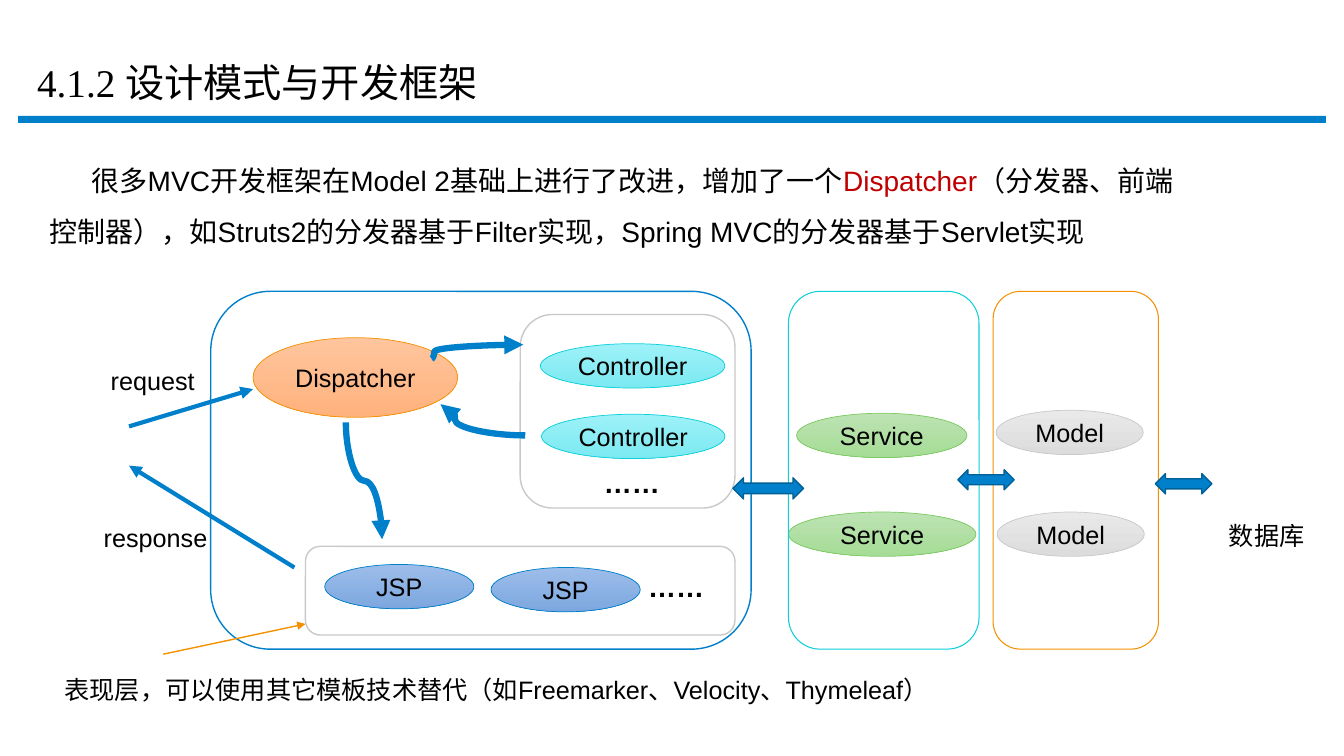
from pptx import Presentation
from pptx.dml.color import RGBColor
from pptx.enum.shapes import MSO_CONNECTOR, MSO_SHAPE
from pptx.enum.text import MSO_ANCHOR, PP_ALIGN
from pptx.oxml.ns import qn
from pptx.util import Inches, Pt
from lxml import etree

RECT = MSO_SHAPE.RECTANGLE
ROUND = MSO_SHAPE.ROUNDED_RECTANGLE
OVAL = MSO_SHAPE.OVAL
ARROW = MSO_SHAPE.LEFT_RIGHT_ARROW
LINE = MSO_CONNECTOR.STRAIGHT
CURVE = MSO_CONNECTOR.CURVE
MIDDLE = MSO_ANCHOR.MIDDLE
TOP = MSO_ANCHOR.TOP
CENTER = PP_ALIGN.CENTER

BLACK = RGBColor(0x00, 0x00, 0x00)
WHITE = RGBColor(0xFF, 0xFF, 0xFF)
RED = RGBColor(0xC0, 0x00, 0x00)
BLUE = RGBColor(0x00, 0x80, 0xCB)
NAVY = RGBColor(0x00, 0x5F, 0x96)
GRAY = RGBColor(0xC9, 0xC9, 0xC9)
CYAN = RGBColor(0x0B, 0xD0, 0xD9)
ORANGE = RGBColor(0xF4, 0x91, 0x00)
GREEN = RGBColor(0x7C, 0xCA, 0x62)

PEACH = (RGBColor(0xFF, 0xC5, 0x9E), RGBColor(0xFF, 0xB2, 0x7C), ORANGE)
AQUA = (RGBColor(0x9D, 0xF1, 0xF8), RGBColor(0x7C, 0xE9, 0xF1), CYAN)
SKY = (RGBColor(0x9D, 0xBD, 0xEA), RGBColor(0x7C, 0xA7, 0xDE), BLUE)
LEAF = (RGBColor(0xBD, 0xE3, 0xB3), RGBColor(0xA5, 0xDC, 0x96), GREEN)
SILVER = (RGBColor(0xE9, 0xE9, 0xE9), RGBColor(0xDC, 0xDC, 0xDC), GRAY)


class Board:
    font = "Arial"
    size = 18
    cell = Inches(0.1)

    def __init__(self, deck):
        self.slide = deck.slides.add_slide(deck.slide_layouts[6])
        self.shapes = self.slide.shapes

    def grid(self, *cells):
        return [round(n * self.cell) for n in cells]

    def style(self, run, size=None, color=BLACK, font=None, bold=False):
        run.font.name = font or self.font
        run.font.size = Pt(size or self.size)
        run.font.color.rgb = color
        run.font.bold = bold

    def shape(self, kind, box, fill=None, line=None, width=1):
        item = self.shapes.add_shape(kind, *self.grid(*box))
        item.shadow.inherit = False
        if fill is None:
            item.fill.background()
        else:
            item.fill.solid()
            item.fill.fore_color.rgb = fill
        if line is None:
            item.line.fill.background()
        else:
            item.line.color.rgb = line
            item.line.width = Pt(width)
        return item

    def oval(self, label, box, tone):
        light, dark, edge = tone
        item = self.shape(OVAL, box, light, edge, 0.5)
        item.fill.gradient()
        item.fill.gradient_angle = 270
        for stop, color in zip(item.fill.gradient_stops, (light, dark)):
            stop.color.rgb = color
        for stop, place in zip(item.fill.gradient_stops, (0, 1)):
            stop.position = place
        frame = item.text_frame
        frame.text = label
        frame.vertical_anchor = MIDDLE
        frame.paragraphs[0].alignment = CENTER
        self.style(frame.paragraphs[0].runs[0])

    def text(self, words, box, wrap=True, space=None, anchor=TOP, **look):
        frame = self.shapes.add_textbox(*self.grid(*box)).text_frame
        frame.text = words
        frame.word_wrap = wrap
        frame.vertical_anchor = anchor
        line = frame.paragraphs[0]
        if space:
            line.line_spacing = space
        self.style(line.runs[0], **look)

    def body(self, parts, box, size):
        frame = self.shapes.add_textbox(*self.grid(*box)).text_frame
        frame.word_wrap = True
        frame.margin_top = Inches(0.12)
        line = frame.paragraphs[0]
        line.line_spacing = 1.5
        props = line._p.get_or_add_pPr()
        props.set("marL", str(Inches(0.12)))
        props.set("indent", str(Inches(0.42)))
        for words, color in parts:
            run = line.add_run()
            run.text = words
            self.style(run, size, color)

    def link(self, start, end, width, color=BLUE, kind=LINE):
        item = self.shapes.add_connector(kind, *self.grid(*start, *end))
        item.line.color.rgb = color
        item.line.width = Pt(width)
        etree.SubElement(item.line._get_or_add_ln(), qn("a:tailEnd"), type="triangle")
        etree.SubElement(item._element.spPr, qn("a:effectLst"))
        return item

    def curve(self, start, end, bend, turn=0):
        item = self.link(start, end, 4.5, kind=CURVE)
        props = item._element.spPr
        guides = props.find(qn("a:prstGeom")).find(qn("a:avLst"))
        etree.SubElement(guides, qn("a:gd"), name="adj1", fmla=f"val {round(bend * 100000)}")
        if turn:
            props.find(qn("a:xfrm")).set("rot", str(turn * 60000))


def main():
    deck = Presentation()
    deck.slide_width, deck.slide_height = Inches(13.33), Inches(7.5)
    board = Board(deck)

    board.shape(RECT, (1.8, 11.5, 129.7, 0.7), BLUE)
    board.text("4.1.2 设计模式与开发框架", (2.7, 3.5, 76.4, 9.9), space=0.9,
               anchor=MIDDLE, size=28, font="Times New Roman")
    board.body([
        ("很多MVC开发框架在Model 2基础上进行了改进，增加了一个", BLACK),
        ("Dispatcher", RED),
        ("（分发器、前端控制器），如Struts2的分发器基于Filter实现，"
         "Spring MVC的分发器基于Servlet实现", BLACK),
    ], (2.7, 13.4, 117, 23.1), 20)

    for box, edge in [((20.9, 28.9, 53.6, 35.5), BLUE),
                      ((30.3, 54.2, 42.6, 8.8), GRAY),
                      ((51.6, 31.2, 21.3, 19.2), GRAY)]:
        board.shape(ROUND, box, WHITE, edge)

    for words, box in [("request", (10, 35.8, 10.4, 4)),
                       ("response", (9.3, 51.3, 12.4, 4))]:
        board.text(words, box, wrap=False)
    board.link((12.8, 42.3), (25.1, 38.6), 3)
    board.link((29.2, 56.3), (12.8, 46.2), 3)

    board.oval("Dispatcher", (25.1, 33.5, 20.3, 7.9), PEACH)
    board.curve((42.8, 35.6), (51.9, 34.2), 0.03)
    board.curve((52.1, 43.2), (43.7, 40.1), 0.83)
    board.curve((41.9, 45.9), (30.3, 49.5), 0.5, 270)

    for label, tone, boxes in [
        ("Controller", AQUA, [(53.6, 34.1, 18.3), (53.7, 41.1, 18.2)]),
        ("JSP", SKY, [(32.2, 56, 14.8), (48.7, 56.3, 14.8)]),
        ("Service", LEAF, [(79, 41, 16.9), (78.2, 50.8, 18.6)]),
        ("Model", SILVER, [(98.8, 40.7, 14.6), (98.9, 50.8, 14.6)]),
    ]:
        for box in boxes:
            board.oval(label, (*box, 4.4), tone)

    for left, top in [(58.9, 45.7), (63.3, 56)]:
        board.text("……", (left, top, 7.6, 4.4), wrap=False, size=20, bold=True)
    board.text("数据库", (120.9, 51.1, 11.3, 4))

    for left, width, edge in [(78.2, 18.9, CYAN), (98.5, 16.4, ORANGE)]:
        board.shape(ROUND, (left, 28.9, width, 35.5), None, edge, 0.75)
    for box in [(114.6, 47, 5.6, 2), (95, 46.6, 5.6, 2), (72.7, 47.4, 7, 2.1)]:
        board.shape(ARROW, box, BLUE, NAVY)

    board.link((16.2, 64.9), (30.3, 61.9), 1, ORANGE)
    board.text("表现层，可以使用其它模板技术替代（如Freemarker、Velocity、Thymeleaf）",
               (5.4, 64.9, 96.9, 5.6), space=1.5)
    deck.save("out.pptx")


if __name__ == "__main__":
    main()
